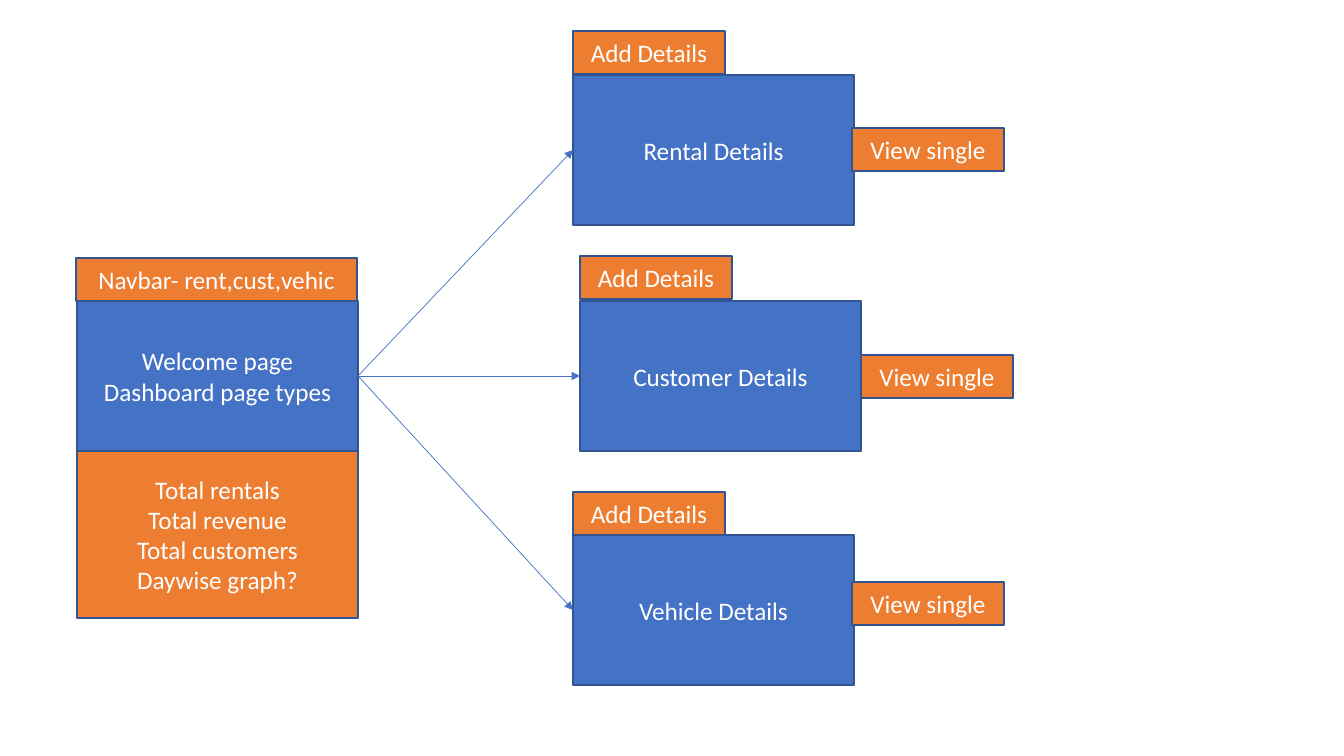
from pptx import Presentation
from pptx.dml.color import RGBColor
from pptx.enum.shapes import MSO_CONNECTOR, MSO_SHAPE
from pptx.enum.text import MSO_ANCHOR, PP_ALIGN
from pptx.util import Pt
from lxml.etree import SubElement
from pptx.oxml.ns import qn

SCALE = 914400 / 100.8
BLUE = RGBColor(0x44, 0x72, 0xC4)
ORANGE = RGBColor(0xED, 0x7D, 0x31)
EDGE = RGBColor(0x32, 0x54, 0x91)
WHITE = RGBColor(0xFF, 0xFF, 0xFF)
FONT = {"name": "Calibri", "size": Pt(18)}

PAGE_W, PAGE_H = 281, 150
TAG_W, TAG_H = 152, 43
# Name, page left and top, "Add" top, "View" left and top
PAGES = [
    ("Rental Details", 573, 75, 31, 852, 128),
    ("Customer Details", 580, 301, 256, 861, 355),
    ("Vehicle Details", 573, 535, 492, 852, 582),
]


def emu(*pixels):
    return [round(p * SCALE) for p in pixels]


def add_box(slide, text, fill, left, top, width, height):
    box = slide.shapes.add_shape(
        MSO_SHAPE.RECTANGLE, *emu(left, top, width, height))
    box.shadow.inherit = False
    box.fill.solid()
    box.fill.fore_color.rgb = fill
    box.line.color.rgb = EDGE
    box.line.width = Pt(1)
    frame = box.text_frame
    frame.word_wrap = True
    frame.vertical_anchor = MSO_ANCHOR.MIDDLE
    frame.text = text
    for para in frame.paragraphs:
        para.alignment = PP_ALIGN.CENTER
        for run in para.runs:
            for key, value in FONT.items():
                setattr(run.font, key, value)
            run.font.color.rgb = WHITE
    return box


def add_arrow(slide, start, end):
    arrow = slide.shapes.add_connector(MSO_CONNECTOR.STRAIGHT, 0, 0, 0, 0)
    arrow.begin_connect(start, 3)  # right side
    arrow.end_connect(end, 1)  # left side
    arrow.line.color.rgb = BLUE
    arrow.line.width = Pt(0.5)
    props = arrow._element.spPr
    SubElement(props.find(qn("a:ln")), qn("a:tailEnd"), type="triangle")
    SubElement(props, qn("a:effectLst"))


def main():
    deck = Presentation()
    deck.slide_width, deck.slide_height = emu(1344, 756)
    slide = deck.slides.add_slide(deck.slide_layouts[6])

    # Welcome page
    home = add_box(slide, "Welcome page\nDashboard page types", BLUE,
                   77, 301, PAGE_W, PAGE_H)

    # Detail pages
    pages = [add_box(slide, name, BLUE, left, top, PAGE_W, PAGE_H)
             for name, left, top, *_ in PAGES]

    # Action tags on each page
    for _, left, _, add_top, view_left, view_top in PAGES:
        add_box(slide, "Add Details", ORANGE, left, add_top, TAG_W, TAG_H)
        add_box(slide, "View single", ORANGE,
                view_left, view_top, TAG_W, TAG_H)

    # Parts of the welcome page
    add_box(slide, "Navbar- rent,cust,vehic", ORANGE, 76, 258, PAGE_W, TAG_H)
    add_box(slide,
            "Total rentals\nTotal revenue\nTotal customers\nDaywise graph?",
            ORANGE, 77, 451, PAGE_W, 167)

    # Arrows to the detail pages
    for page in pages:
        add_arrow(slide, home, page)

    deck.save("out.pptx")


main()
